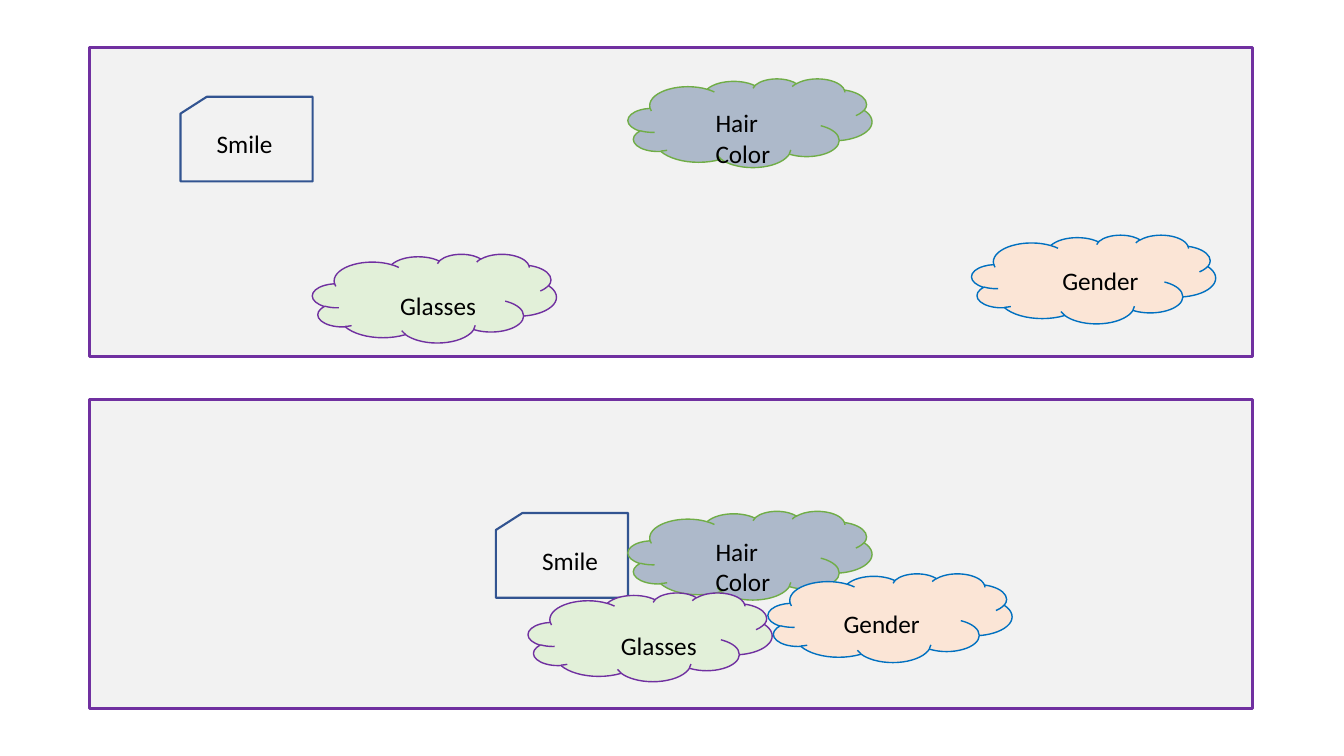
from dataclasses import dataclass
from typing import Optional

import pptx
import pptx.dml.color
import pptx.enum.shapes
import pptx.enum.text
import pptx.shapes.autoshape
import pptx.shapes.shapetree
import pptx.util

RGBColor = pptx.dml.color.RGBColor
Preset = pptx.enum.shapes.MSO_SHAPE

BLACK = RGBColor(0x00, 0x00, 0x00)
PALE_GREY = RGBColor(0xF2, 0xF2, 0xF2)
PURPLE = RGBColor(0x70, 0x30, 0xA0)
NAVY = RGBColor(0x32, 0x54, 0x91)
SLATE = RGBColor(0xAD, 0xB9, 0xCA)
GREEN = RGBColor(0x70, 0xAD, 0x47)
PALE_GREEN = RGBColor(0xE2, 0xF0, 0xD9)
PEACH = RGBColor(0xFB, 0xE5, 0xD6)
BLUE = RGBColor(0x00, 0x70, 0xC0)

SLIDE_WIDTH = pptx.util.Inches(13.33)
SLIDE_HEIGHT = pptx.util.Inches(7.5)
GRID = 100  # columns across and rows down the slide

LABEL_FONT = {"name": "Calibri", "size": pptx.util.Pt(18)}
LABEL_FRAME = {
    "word_wrap": True,
    "auto_size": pptx.enum.text.MSO_AUTO_SIZE.SHAPE_TO_FIT_TEXT,
}

Point = tuple[float, float]


@dataclass(frozen=True)
class Look:
    preset: Preset
    size: Point
    fill: Optional[RGBColor]
    outline: RGBColor
    weight: float


@dataclass(frozen=True)
class Feature:
    text: str
    look: Look
    label_size: Point


@dataclass(frozen=True)
class Placement:
    feature: Feature
    corner: Point
    label_corner: Point


@dataclass(frozen=True)
class Panel:
    top: float
    placements: list[Placement]


CLOUD_SIZE = (18.15, 11.73)
PANEL_LEFT = 6.68
PANEL_LOOK = Look(Preset.RECTANGLE, (86.5, 40.93), PALE_GREY, PURPLE, 2.25)

SMILE = Feature(
    "Smile",
    Look(Preset.FLOWCHART_CARD, (9.83, 11.2), None, NAVY, 1.5),
    (6.68, 3.33),
)
HAIR = Feature(
    "Hair Color", Look(Preset.CLOUD, CLOUD_SIZE, SLATE, GREEN, 1), (6.68, 5.87)
)
GLASSES = Feature(
    "Glasses", Look(Preset.CLOUD, CLOUD_SIZE, PALE_GREEN, PURPLE, 1), (9, 3.33)
)
GENDER = Feature(
    "Gender", Look(Preset.CLOUD, CLOUD_SIZE, PEACH, BLUE, 1), (9, 3.33)
)

SEPARATED = Panel(6.27, [
    Placement(SMILE, (13.43, 12.8), (15.38, 16.27)),
    Placement(HAIR, (46.73, 10.4), (52.5, 13.6)),
    Placement(GLASSES, (23.25, 33.6), (29.03, 37.73)),
    Placement(GENDER, (72.3, 31.07), (78.3, 34.4)),
])
CLUSTERED = Panel(52.8, [
    Placement(SMILE, (36.9, 67.87), (39.6, 71.47)),
    Placement(HAIR, (46.73, 67.6), (52.5, 70.27)),
    Placement(GLASSES, (39.3, 78.4), (45.45, 82.67)),
    Placement(GENDER, (57.15, 75.87), (62.03, 79.87)),
])


def grid_box(corner: Point, size: Point) -> list[int]:
    """Turn grid columns and rows into left, top, width and height."""
    columns_rows = (*corner, *size)
    return [
        round(share * extent / GRID)
        for share, extent in zip(columns_rows, (SLIDE_WIDTH, SLIDE_HEIGHT) * 2)
    ]


def apply_format(target: object, values: dict[str, object]) -> None:
    for attribute, value in values.items():
        setattr(target, attribute, value)


def draw_outline(
    shapes: pptx.shapes.shapetree.GroupShapes, look: Look, corner: Point
) -> None:
    outline = shapes.add_shape(look.preset, *grid_box(corner, look.size))
    outline.shadow.inherit = False
    if look.fill is None:
        outline.fill.background()
    else:
        outline.fill.solid()
        outline.fill.fore_color.rgb = look.fill
    outline.line.color.rgb = look.outline
    outline.line.width = pptx.util.Pt(look.weight)


def draw_label(
    shapes: pptx.shapes.shapetree.GroupShapes, placement: Placement
) -> None:
    feature = placement.feature
    label = shapes.add_textbox(
        *grid_box(placement.label_corner, feature.label_size)
    )
    apply_format(label.text_frame, LABEL_FRAME)
    run = label.text_frame.paragraphs[0].add_run()
    run.text = feature.text
    apply_format(run.font, LABEL_FONT)
    run.font.color.rgb = BLACK


def draw_panel(
    shapes: pptx.shapes.shapetree.SlideShapes, panel: Panel
) -> None:
    members = shapes.add_group_shape().shapes
    draw_outline(members, PANEL_LOOK, (PANEL_LEFT, panel.top))
    for placement in panel.placements:
        draw_outline(members, placement.feature.look, placement.corner)
    for placement in panel.placements:
        draw_label(members, placement)


def main() -> None:
    presentation = pptx.Presentation()
    presentation.slide_width = SLIDE_WIDTH
    presentation.slide_height = SLIDE_HEIGHT
    blank_layout = presentation.slide_layouts[6]
    slide = presentation.slides.add_slide(blank_layout)
    for panel in (SEPARATED, CLUSTERED):
        draw_panel(slide.shapes, panel)
    presentation.save("out.pptx")


if __name__ == "__main__":
    main()
